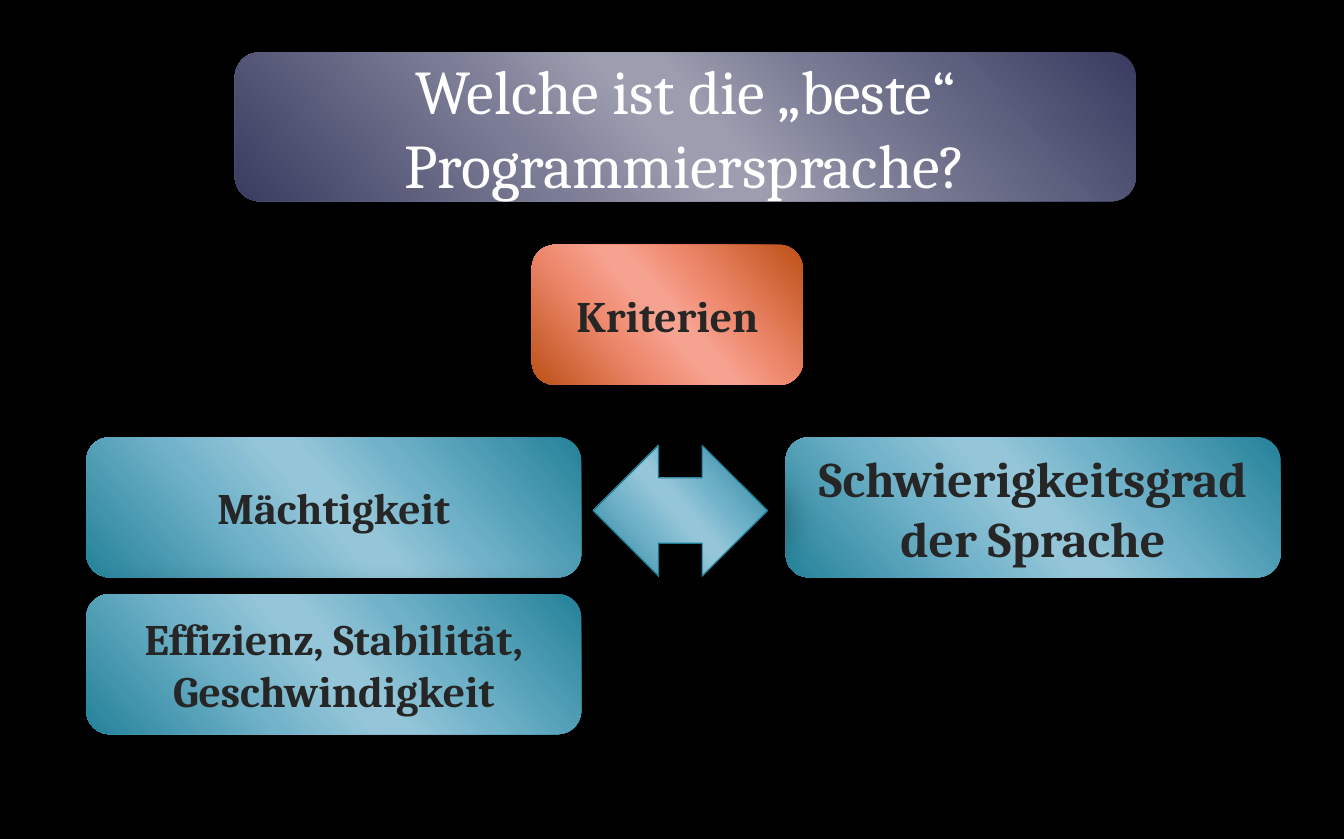
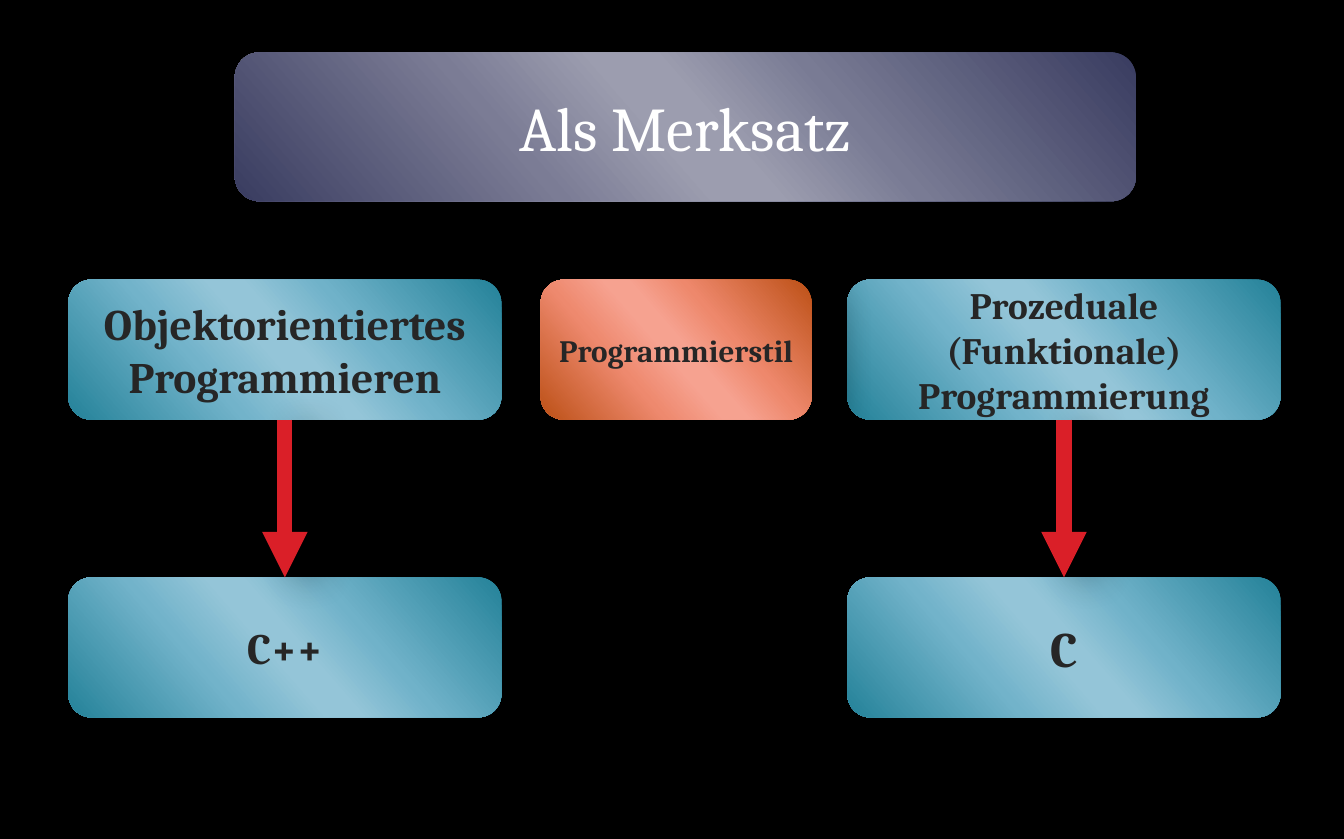
from copy import deepcopy

from lxml import etree
from pptx import Presentation
from pptx.dml.color import RGBColor
from pptx.enum import shapes as kinds, text as types
from pptx.oxml import ns
from pptx.util import Cm, Pt

FONT = "Cambria"
BLACK = RGBColor(0x00, 0x00, 0x00)
WHITE = RGBColor(0xFF, 0xFF, 0xFF)
INK = RGBColor(0x26, 0x26, 0x26)
RED = RGBColor(0xDA, 0x1F, 0x28)
EDGE = RGBColor(0x1B, 0x79, 0x90)

# Each palette: dark end, soft left, light centre, soft right
NAVY = (RGBColor(0x39, 0x3C, 0x60), RGBColor(0x79, 0x7B, 0x94),
        RGBColor(0x9C, 0x9D, 0xAF), RGBColor(0x7B, 0x7C, 0x95))
RUST = (RGBColor(0xBC, 0x50, 0x16), RGBColor(0xEE, 0x88, 0x6C),
        RGBColor(0xF6, 0xA2, 0x90), RGBColor(0xEE, 0x89, 0x6E))
TEAL = (RGBColor(0x24, 0x82, 0x99), RGBColor(0x70, 0xB2, 0xC9),
        RGBColor(0x94, 0xC5, 0xD8), RGBColor(0x72, 0xB3, 0xCA))
STOPS = (0, 0.33, 0.47, 0.53, 0.68, 1)
ANGLE = 360 - 139

HIGH = 3.18   # height of every content box, in cm
MID = 6.15    # width of the middle box, in cm
AREA = (1.55, 5.56, 27.51, 11.1)   # left, top, width, height below the title


def shade(props):
    """Give the shape properties a soft shadow to the lower right."""
    effects = etree.SubElement(props, ns.qn("a:effectLst"))
    outer = etree.SubElement(
        effects, ns.qn("a:outerShdw"), blurRad=str(Pt(26)), dist=str(Pt(15)),
        dir=str(18 * 60000), algn="tl", rotWithShape="0")
    color = etree.SubElement(outer, ns.qn("a:srgbClr"), val=str(BLACK))
    etree.SubElement(color, ns.qn("a:alpha"), val="45000")


def blend(shape, tones):
    """Fill the shape with the shared six-stop diagonal gradient."""
    dark, left, light, right = tones
    fill = shape.fill
    fill.gradient()
    fill.gradient_angle = ANGLE
    stops = shape._element.spPr.find(".//" + ns.qn("a:gsLst"))
    for _ in STOPS[2:]:
        stops.append(deepcopy(stops[0]))
    hues = (dark, left, light, light, right, dark)
    for stop, place, hue in zip(fill.gradient_stops, STOPS, hues):
        stop.color.rgb = hue
        stop.position = place


def write(shape, words, size=28, color=INK, bold=True):
    frame = shape.text_frame
    frame.word_wrap = True
    frame.vertical_anchor = types.MSO_ANCHOR.MIDDLE
    frame.text = words
    for para in frame.paragraphs:
        para.alignment = types.PP_ALIGN.CENTER
        for run in para.runs:
            font = run.font
            font.name, font.size, font.bold = FONT, Pt(size), bold
            font.color.rgb = color


def panel(slide, box, tones, words="", kind="ROUNDED_RECTANGLE", edge=None,
          **style):
    """Place a gradient shape; box is left, top, width, height in cm."""
    shape = slide.shapes.add_shape(
        kinds.MSO_SHAPE[kind], *(Cm(value) for value in box))
    blend(shape, tones)
    if edge is None:
        shape.line.fill.background()
    else:
        shape.line.color.rgb = edge
        shape.line.width = Pt(0.75)
    shade(shape._element.spPr)
    if words:
        write(shape, words, **style)


def arrow(slide, x, top, end):
    link = slide.shapes.add_connector(
        kinds.MSO_CONNECTOR.STRAIGHT, Cm(x), Cm(top), Cm(x), Cm(end))
    link.line.color.rgb = RED
    link.line.width = Pt(9.75)
    props = link._element.spPr
    etree.SubElement(props.find(ns.qn("a:ln")), ns.qn("a:tailEnd"),
                     type="triangle")
    shade(props)


def start(deck, title):
    """Add a black slide with its title band."""
    slide = deck.slides.add_slide(deck.slide_layouts[6])
    back = slide.background.fill
    back.solid()
    back.fore_color.rgb = BLACK
    panel(slide, (5.33, 1.19, 20.45, 3.38), NAVY, title,
          size=40, color=WHITE, bold=False)
    return slide


def versus(slide, box):
    """Criteria on top, two rivals below and a double arrow between them."""
    left, top, width, _ = box
    wide, pad = 11.23, 0.41
    near, far = left + pad, left + width - wide
    row = top + 4.37
    panel(slide, (left + 10.52, top, MID, HIGH), RUST, "Kriterien")
    panel(slide, (near, row, wide, HIGH), TEAL, "Mächtigkeit")
    panel(slide, (far, row, wide, HIGH), TEAL,
          "Schwierigkeitsgrad der Sprache", size=32)
    panel(slide, (near, row + HIGH + 0.38, wide, HIGH), TEAL,
          "Effizienz, Stabilität, Geschwindigkeit")
    panel(slide, (near + wide + 0.27, row + 0.18, 3.96, 2.97), TEAL,
          kind="LEFT_RIGHT_ARROW", edge=EDGE)


def styles(slide, box):
    """Two columns, each leading from a style to its language."""
    left, top, width, _ = box
    wide = 9.83
    head, foot = top + 0.79, top + 7.55
    columns = (
        (left, "Objektorientiertes Programmieren", 28, "C++", 28),
        (left + width - wide, "Prozeduale\n(Funktionale) Programmierung", 24,
         "C", 32),
    )
    for x, style, big, tongue, size in columns:
        panel(slide, (x, head, wide, HIGH), TEAL, style, size=big)
        panel(slide, (x, foot, wide, HIGH), TEAL, tongue, size=size)
        arrow(slide, x + wide / 2, head + HIGH, foot)
    panel(slide, (left + 10.72, head, MID, HIGH), RUST, "Programmierstil",
          size=20)


def main():
    deck = Presentation()
    deck.slide_width, deck.slide_height = Cm(30.5), Cm(19.05)
    versus(start(deck, "Welche ist die „beste“ Programmiersprache?"), AREA)
    styles(start(deck, "Als Merksatz"), AREA)
    deck.save("out.pptx")


if __name__ == "__main__":
    main()
